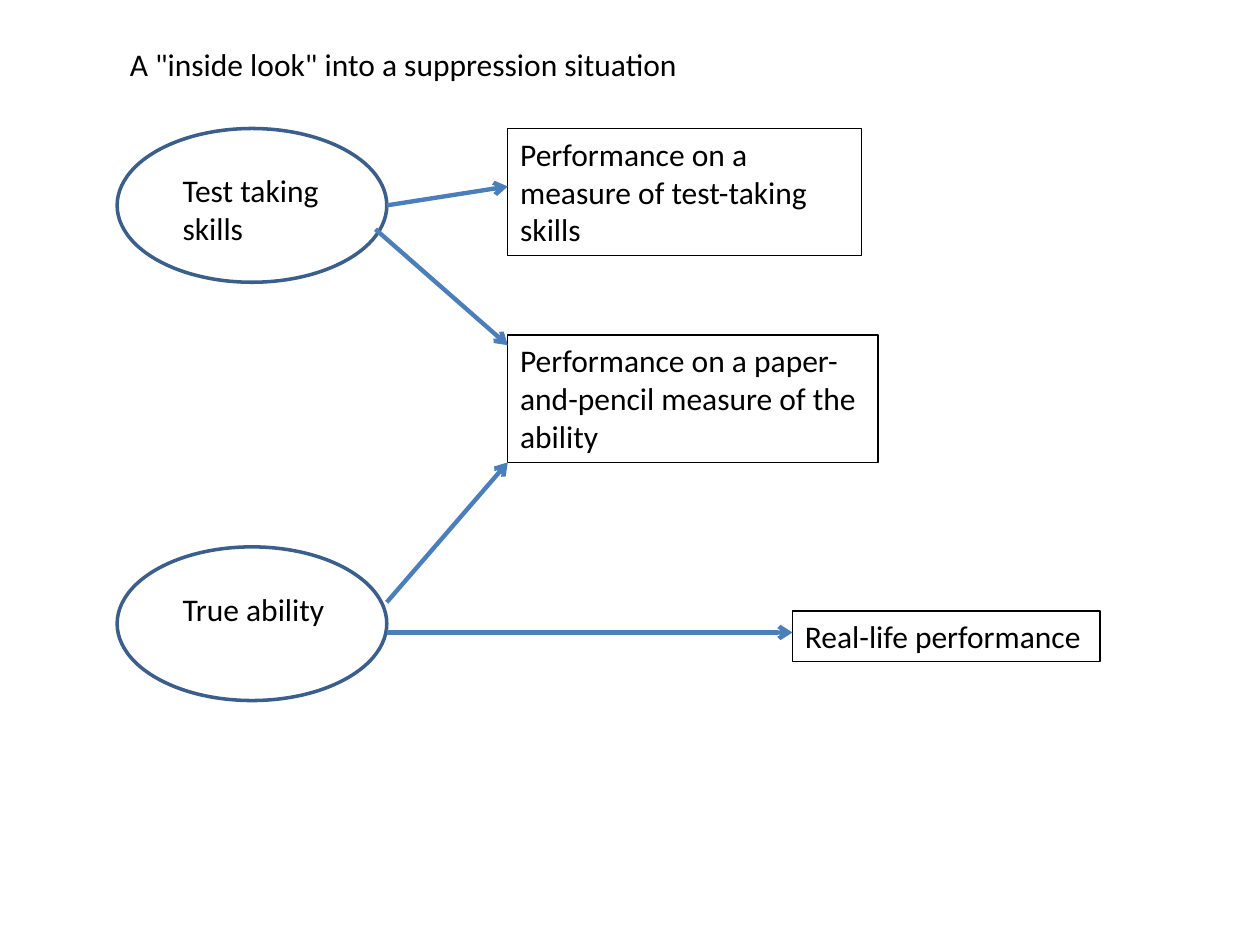
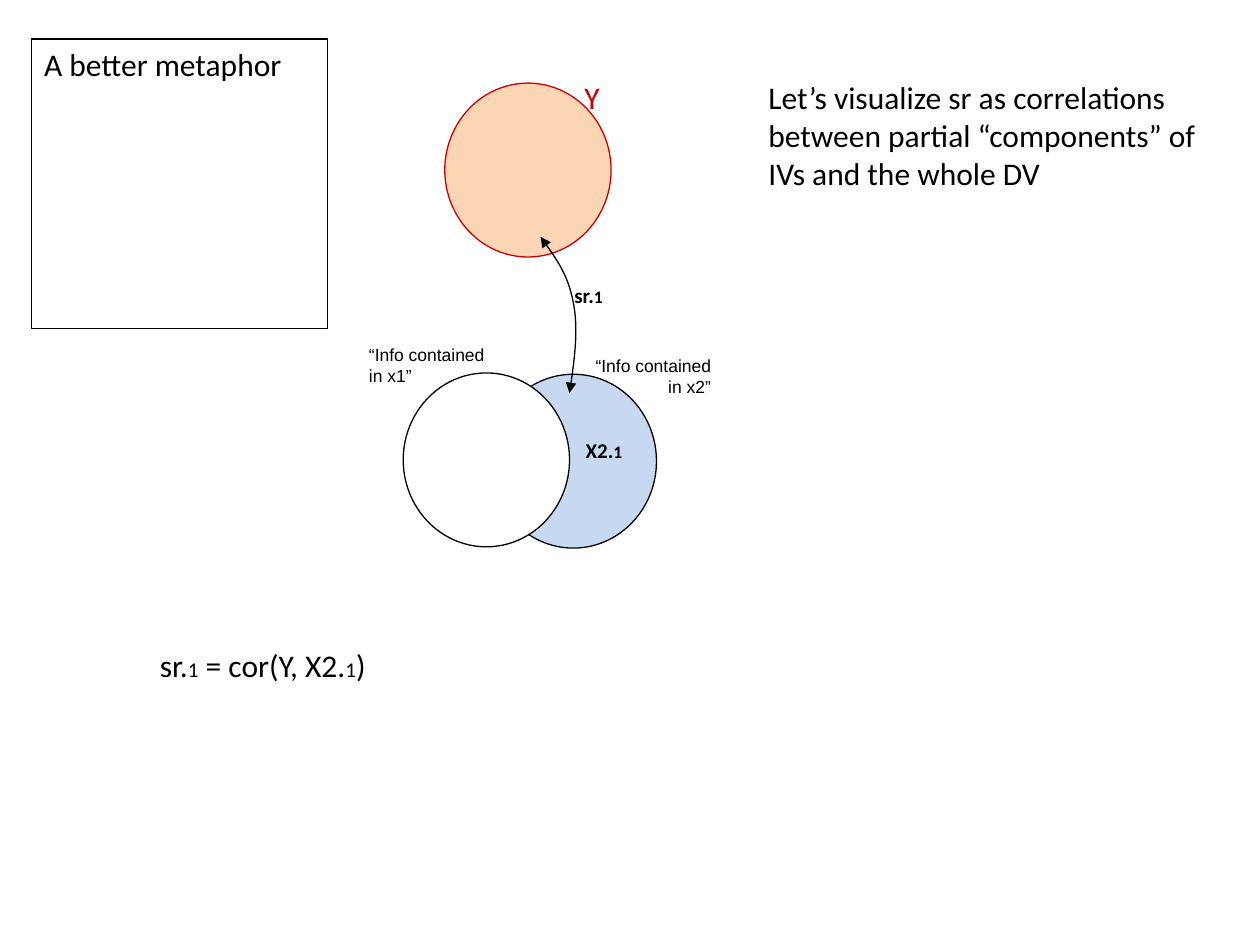
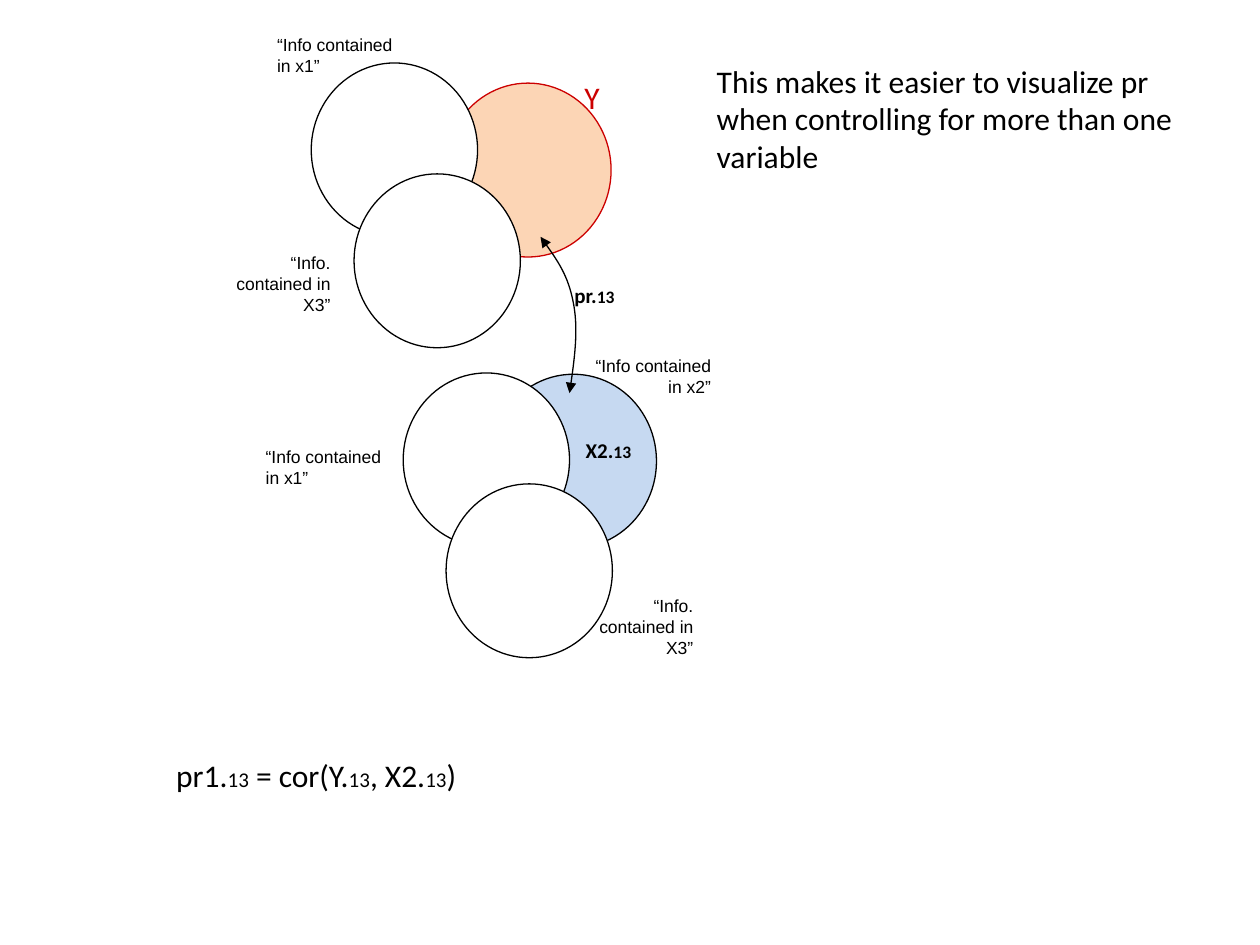
from dataclasses import dataclass
from typing import NamedTuple, Optional

from lxml import etree
from pptx import Presentation
from pptx.dml.color import RGBColor
from pptx.enum.shapes import MSO_CONNECTOR, MSO_SHAPE
from pptx.enum.text import MSO_ANCHOR, MSO_AUTO_SIZE, PP_ALIGN
from pptx.oxml.ns import qn
from pptx.util import Inches, Pt


# Shared look
@dataclass(frozen=True)
class Theme:
    black: str = "000000"
    white: str = "FFFFFF"
    red: str = "CC0000"
    peach: str = "FCD5B5"
    pale_blue: str = "C6D9F1"
    latent_line: str = "3A5F8C"
    arrow: str = "4B7EBC"
    font: str = "Calibri"
    note_font: str = "Arial"
    body: int = 18
    label: int = 12
    note: int = 10
    thin: float = 0.75
    latent_width: float = 2
    arrow_width: float = 2.5


THEME = Theme()


class Box(NamedTuple):
    left: float
    top: float
    width: float
    height: float

    def emu(self) -> list:
        return [Inches(value) for value in self]


class Point(NamedTuple):
    x: float
    y: float

    def emu(self) -> tuple:
        return Inches(self.x), Inches(self.y)


@dataclass(frozen=True)
class TextStyle:
    size: int = THEME.body
    small: int = THEME.label  # size of the index runs
    font: str = THEME.font
    color: str = THEME.black
    bold: bool = False
    align: PP_ALIGN = PP_ALIGN.LEFT


BODY = TextStyle()
RED_BODY = TextStyle(color=THEME.red)
LABEL = TextStyle(THEME.label, THEME.note, bold=True)
NOTE = TextStyle(THEME.note, font=THEME.note_font)
RIGHT_NOTE = TextStyle(THEME.note, font=THEME.note_font, align=PP_ALIGN.RIGHT)


@dataclass(frozen=True)
class Text:
    text: str  # underscores enclose an index
    box: Box
    style: TextStyle = BODY
    framed: bool = False


# Drawing functions
def set_line(line, color: str, width: float) -> None:
    line.color.rgb = RGBColor.from_string(color)
    line.width = Pt(width)


def add_arrowheads(shape, kind: str, *ends: str) -> None:
    ln = shape._element.spPr.get_or_add_ln()
    for end in ends:
        etree.SubElement(ln, qn(f"a:{end}")).set("type", kind)


def fill_text(shape, item: Text) -> None:
    style = item.style
    frame = shape.text_frame
    frame.word_wrap = True
    frame.auto_size = MSO_AUTO_SIZE.SHAPE_TO_FIT_TEXT
    frame.vertical_anchor = MSO_ANCHOR.TOP
    paragraph = frame.paragraphs[0]
    paragraph.alignment = style.align
    for i, part in enumerate(item.text.split("_")):
        run = paragraph.add_run()
        run.text = part
        run.font.name = style.font
        run.font.size = Pt(style.small if i % 2 else style.size)
        run.font.bold = style.bold
        run.font.color.rgb = RGBColor.from_string(style.color)
    if item.framed:
        set_line(shape.line, THEME.black, THEME.thin)


def add_text(slide, item: Text) -> None:
    fill_text(slide.shapes.add_textbox(*item.box.emu()), item)


def add_title(slide, item: Text) -> None:
    title = slide.shapes.title
    title.left, title.top, title.width, title.height = item.box.emu()
    fill_text(title, item)


def add_ellipse(slide, box: Box, fill: Optional[str] = THEME.white,
                line: str = THEME.black, width: float = THEME.thin) -> None:
    ellipse = slide.shapes.add_shape(MSO_SHAPE.OVAL, *box.emu())
    ellipse.shadow.inherit = False
    if fill:
        ellipse.fill.solid()
        ellipse.fill.fore_color.rgb = RGBColor.from_string(fill)
    else:
        ellipse.fill.background()
    set_line(ellipse.line, line, width)


def add_arrow(slide, start: Point, end: Point) -> None:
    arrow = slide.shapes.add_connector(
        MSO_CONNECTOR.STRAIGHT, *start.emu(), *end.emu())
    set_line(arrow.line, THEME.arrow, THEME.arrow_width)
    add_arrowheads(arrow, "arrow", "tailEnd")
    etree.SubElement(arrow._element.spPr, qn("a:effectLst"))


def add_curve(slide, start: Point, *points: Point) -> None:
    """Draw Bezier segments: two control points and an end point for each."""
    builder = slide.shapes.build_freeform(*start.emu())
    builder.add_line_segments([p.emu() for p in points], close=False)
    curve = builder.convert_to_shape()
    path = next(curve._element.iter(qn("a:path")))
    steps = path.findall(qn("a:lnTo"))
    for i in range(0, len(steps), 3):
        bezier = etree.SubElement(path, qn("a:cubicBezTo"))
        for step in steps[i:i + 3]:
            bezier.append(step[0])
            path.remove(step)
    curve.shadow.inherit = False
    curve.fill.background()
    set_line(curve.line, THEME.black, THEME.thin)
    add_arrowheads(curve, "triangle", "headEnd", "tailEnd")


# Overlapping circles
def circle(left: float, top: float) -> Box:
    return Box(left, top, 1.32, 1.38)


def note_x1(left: float, top: float) -> Text:
    return Text("“Info contained in x1”", Box(left, top, 1.21, 0.43), NOTE)


def note_x3(left: float, top: float) -> Text:
    return Text("“Info. contained in X3”", Box(left, top, 1.15, 0.6),
                RIGHT_NOTE)


def add_correlation(slide, name: str, index: str) -> None:
    """Y above, X2 partly covered by X1 below, and the curve joining them."""
    add_ellipse(slide, circle(3.89, 2.97), THEME.pale_blue)
    add_ellipse(slide, X1_CIRCLE)
    add_ellipse(slide, circle(3.53, 0.66), THEME.peach, THEME.red)
    add_curve(slide, Point(4.52, 3.12),
              Point(4.56, 2.86), Point(4.59, 2.6), Point(4.55, 2.4),
              Point(4.51, 2.19), Point(4.4, 2.03), Point(4.29, 1.88))
    for item in (
        Text("“Info contained in x2”", Box(4.53, 2.77, 1.21, 0.43),
             RIGHT_NOTE),
        Text("Y", Box(4.54, 0.57, 0.4, 0.4), RED_BODY),
        Text(f"{name}._{index}_", Box(4.46, 2.19, 0.56, 0.3), LABEL),
        Text(f"X2._{index}_", Box(4.55, 3.42, 0.76, 0.3), LABEL),
    ):
        add_text(slide, item)


X1_CIRCLE = circle(3.2, 2.96)
Y_COVER = circle(2.47, 0.5)
X3_SHIFT = Point(0.34, 0.88)  # X3 lies this far from X1


def add_x3(slide, x1: Box) -> None:
    add_ellipse(slide, circle(x1.left + X3_SHIFT.x, x1.top + X3_SHIFT.y))


prs = Presentation()
prs.slide_width, prs.slide_height = Inches(10), Inches(7.5)
TITLE_ONLY, BLANK = prs.slide_layouts[5], prs.slide_layouts[6]

# Slide 1: suppression path diagram
slide = prs.slides.add_slide(TITLE_ONLY)
add_title(slide, Text('A "inside look" into a suppression situation',
                      Box(0.93, 0.31, 7.94, 0.4)))
for top in (1.02, 4.34):
    add_ellipse(slide, Box(0.93, top, 2.14, 1.22), None,
                THEME.latent_line, THEME.latent_width)
for item in (
    Text("Test taking skills", Box(1.35, 1.31, 1.51, 0.71)),
    Text("True ability", Box(1.35, 4.63, 2.02, 0.4)),
    Text("Performance on a measure of test-taking skills",
         Box(4.03, 1.02, 2.81, 1.01), framed=True),
    Text("Performance on a paper-and-pencil measure of the ability",
         Box(4.03, 2.66, 2.94, 1.01), framed=True),
    Text("Real-life performance", Box(6.29, 4.85, 2.44, 0.4), framed=True),
):
    add_text(slide, item)
for start, end in (
    (Point(3.07, 1.63), Point(4.03, 1.48)),
    (Point(2.98, 1.82), Point(4.03, 2.74)),
    (Point(3.07, 4.78), Point(4.03, 3.67)),
    (Point(3.07, 5.02), Point(6.29, 5.02)),
):
    add_arrow(slide, start, end)

# Slide 2: semipartial correlation
slide = prs.slides.add_slide(TITLE_ONLY)
add_title(slide, Text("A better metaphor", Box(0.25, 0.31, 2.35, 0.4),
                      framed=True))
add_correlation(slide, "sr", "1")
for item in (
    note_x1(2.83, 2.68),
    Text("sr._1_ = cor(Y, X2._1_)", Box(1.17, 5.08, 7.31, 0.4)),
    Text("Let’s visualize sr as correlations between partial “components” "
         "of IVs and the whole DV", Box(6, 0.57, 3.82, 1.01)),
):
    add_text(slide, item)

# Slide 3: partial correlation with two controls
slide = prs.slides.add_slide(BLANK)
add_correlation(slide, "pr", "13")
add_x3(slide, X1_CIRCLE)
add_ellipse(slide, Y_COVER)
add_x3(slide, Y_COVER)
for item in (
    note_x1(2.01, 3.49),
    note_x1(2.1, 0.22),
    note_x3(4.45, 4.67),
    note_x3(1.57, 1.95),
    Text("pr1._13_ = cor(Y._13_, X2._13_)", Box(1.3, 5.95, 7.31, 0.4)),
    Text("This makes it easier to visualize pr when controlling for more "
         "than one variable", Box(5.59, 0.44, 4, 1)),
):
    add_text(slide, item)

prs.save("out.pptx")
